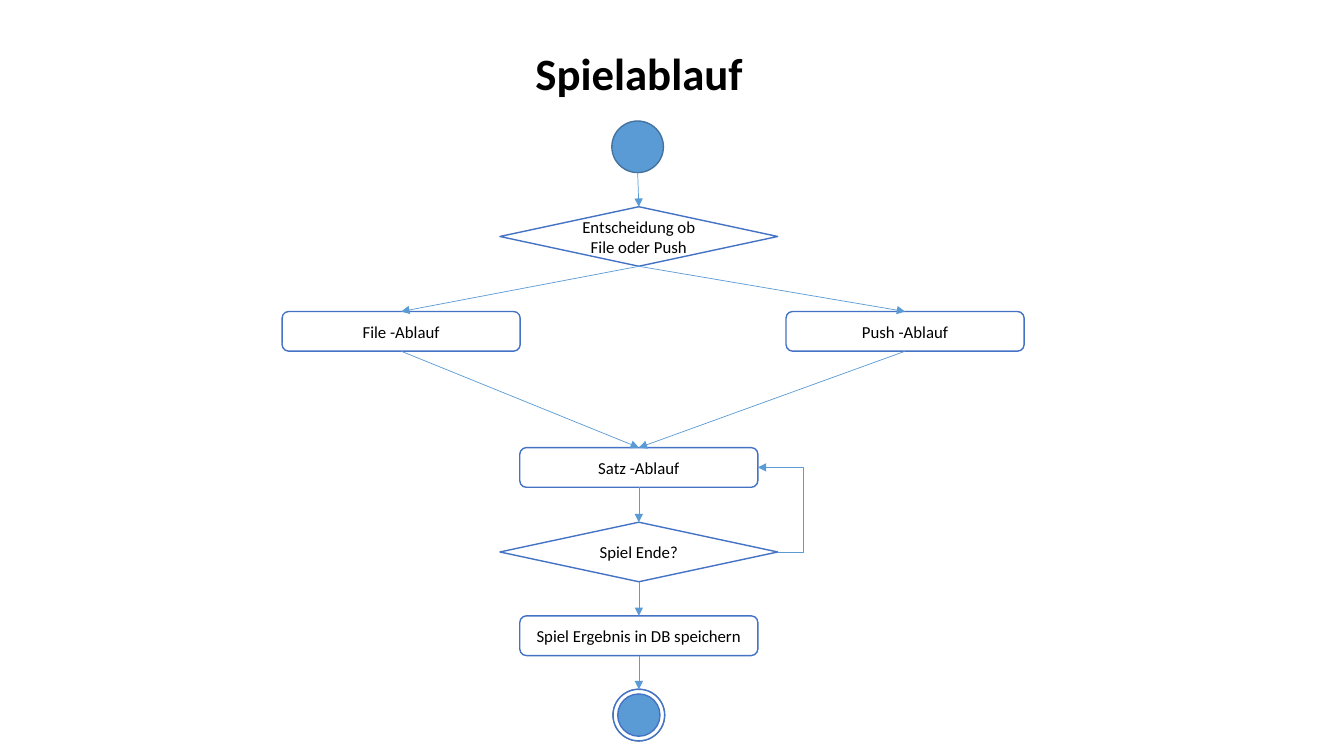
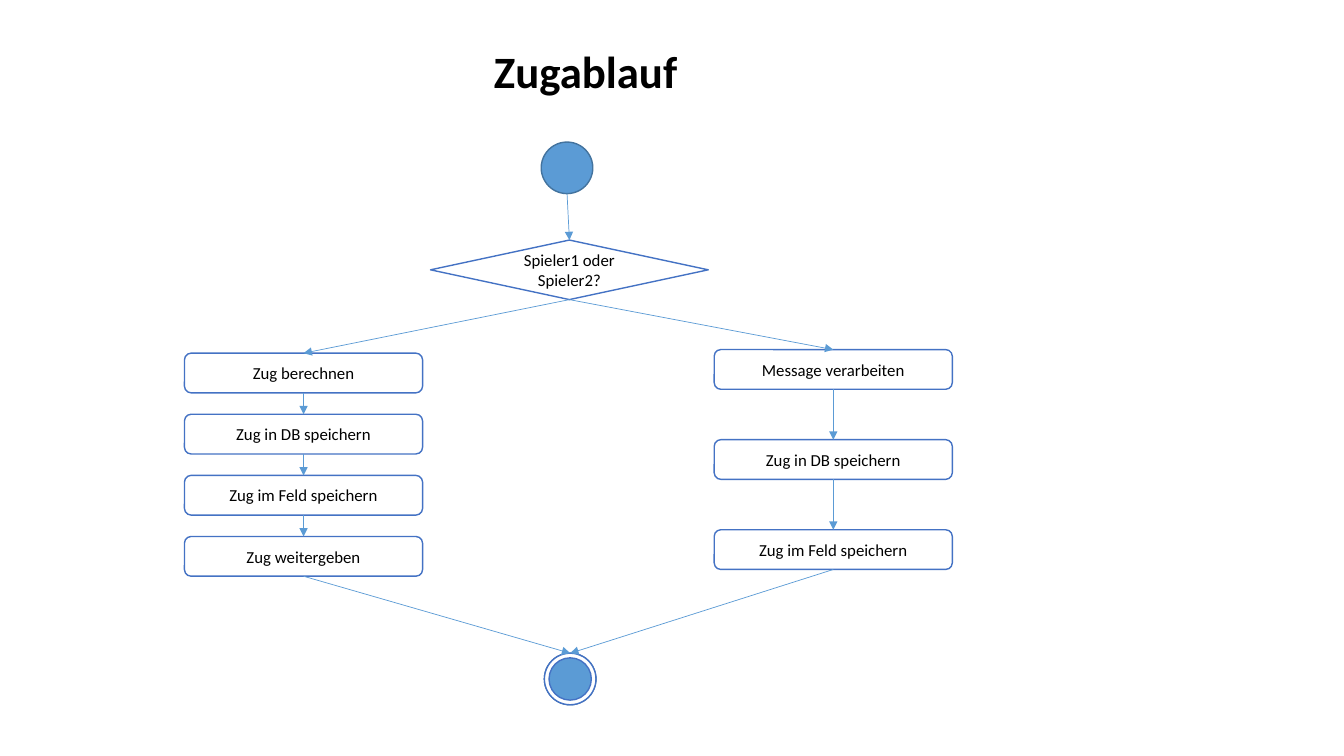
"""Build two flow charts: the course of a game and the course of a move."""
from lxml import etree
from pptx import Presentation
from pptx.dml.color import RGBColor
from pptx.enum import shapes, text
from pptx.oxml.ns import qn
from pptx.util import Cm, Pt

BLUE, EDGE, OUTLINE, WHITE, BLACK = "5B9BD5", "43739E", "4472C4", "FFFFFF", "000000"
SHAPE, LINK = shapes.MSO_SHAPE, shapes.MSO_CONNECTOR
TOP, BOTTOM, RIGHT, OVAL_BOTTOM = 0, 2, 3, 4
KINDS = {
    "start": (1.3, 1.3, [(SHAPE.OVAL, BLUE, EDGE)]),
    "end": (1.3, 1.3, [(SHAPE.OVAL, BLUE, EDGE), (SHAPE.DONUT, WHITE, OUTLINE)]),
    "step": (6, 1, [(SHAPE.ROUNDED_RECTANGLE, WHITE, OUTLINE)]),
    "choice": (7, 1.5, [(SHAPE.DIAMOND, WHITE, OUTLINE)]),
}

game = {
    "start": ("start", 16.07, 3.05, ""),
    "mode": ("choice", 16.1, 5.21, "Entscheidung ob File oder Push"),
    "file": ("step", 10.11, 7.85, "File -Ablauf"),
    "push": ("step", 22.81, 7.85, "Push -Ablauf"),
    "set": ("step", 16.1, 11.28, "Satz -Ablauf"),
    "over": ("choice", 16.1, 13.16, "Spiel Ende?"),
    "save": ("step", 16.1, 15.52, "Spiel Ergebnis in DB speichern"),
    "end": ("end", 16.1, 17.37, ""),
}
game_paths = ["start mode file set over save end", "mode push set"]

move = {
    "start": ("start", 14.29, 3.58, ""),
    "player": ("choice", 14.35, 6.05, "Spieler1 oder Spieler2?"),
    "end": ("end", 14.37, 16.46, ""),
}
columns = [
    ("own", 7.65, 8.9, 1.54,
     ["Zug berechnen", "Zug in DB speichern", "Zug im Feld speichern", "Zug weitergeben"]),
    ("other", 21, 8.81, 2.27,
     ["Message verarbeiten", "Zug in DB speichern", "Zug im Feld speichern"]),
]
for name, center, top, pitch, labels in columns:
    for i, label in enumerate(labels):
        move[f"{name}{i}"] = ("step", center, top + i * pitch, label)
move_paths = ["start player own0 own1 own2 own3 end", "player other0 other1 other2 end"]

charts = [
    ("Spielablauf", 5.44, 1.02, game, game_paths, [("over", "set")]),
    ("Zugablauf", 4.09, 0.97, move, move_paths, []),
]


def rgb(value):
    return RGBColor.from_string(value)


def set_text(tf, content, size, bold):
    tf.text = content
    tf.word_wrap = True
    tf.vertical_anchor = text.MSO_ANCHOR.MIDDLE
    p = tf.paragraphs[0]
    p.alignment = text.PP_ALIGN.CENTER
    for r in p.runs:
        r.font.name, r.font.size, r.font.bold = "Calibri", Pt(size), bold
        r.font.color.rgb = rgb(BLACK)


prs = Presentation()
prs.slide_width, prs.slide_height = Cm(33.87), Cm(19.05)

for title, title_left, title_top, nodes, paths, loops in charts:
    s = prs.slides.add_slide(prs.slide_layouts[5])
    sp = s.shapes.title
    sp.left, sp.top, sp.width, sp.height = Cm(title_left), Cm(title_top), Cm(21.34), Cm(1.63)
    set_text(sp.text_frame, title, 32, True)

    placed = {}
    for key, (kind, center, top, label) in nodes.items():
        width, height, layers = KINDS[kind]
        for geometry, fill, line in layers:
            sp = s.shapes.add_shape(geometry, Cm(center - width / 2), Cm(top), Cm(width), Cm(height))
            sp.shadow.inherit = False
            sp.fill.solid()
            sp.fill.fore_color.rgb = rgb(fill)
            sp.line.color.rgb = rgb(line)
            sp.line.width = Pt(1)
            if geometry == SHAPE.DONUT:
                sp.adjustments[0] = 0.09
        if label:
            set_text(sp.text_frame, label, 12, False)
        placed[key] = sp

    links = [(a, b, LINK.STRAIGHT) for steps in map(str.split, paths) for a, b in zip(steps, steps[1:])]
    links += [(a, b, LINK.ELBOW) for a, b in loops]
    for source, target, route in links:
        elbow = route == LINK.ELBOW
        c = s.shapes.add_connector(route, 0, 0, 0, 0)
        c.begin_connect(placed[source], RIGHT if elbow else BOTTOM)
        c.end_connect(placed[target], RIGHT if elbow else TOP)
        c.line.color.rgb = rgb(BLUE)
        c.line.width = Pt(0.5)
        properties = c._element.spPr
        etree.SubElement(properties.find(qn("a:ln")), qn("a:tailEnd"), type="triangle")
        etree.SubElement(properties, qn("a:effectLst"))
        if source == "start":
            c._element.find(".//" + qn("a:stCxn")).set("id" "x", str(OVAL_BOTTOM))
        if elbow:
            guides = properties.find(qn("a:prstGeom")).get_or_add_avLst()
            etree.SubElement(guides, qn("a:gd"), name="adj1", fmla="val -127000")

prs.save("out.pptx")
